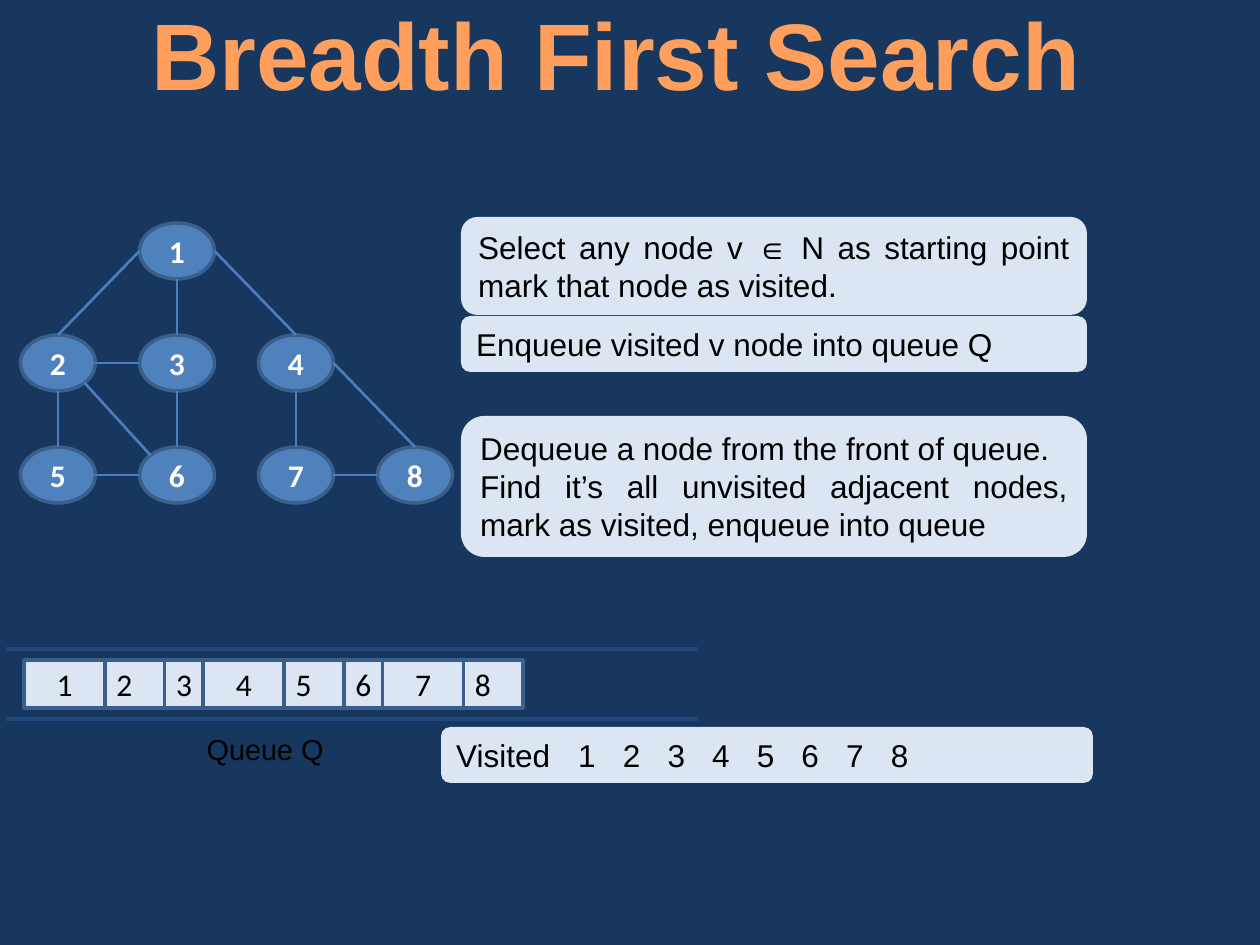
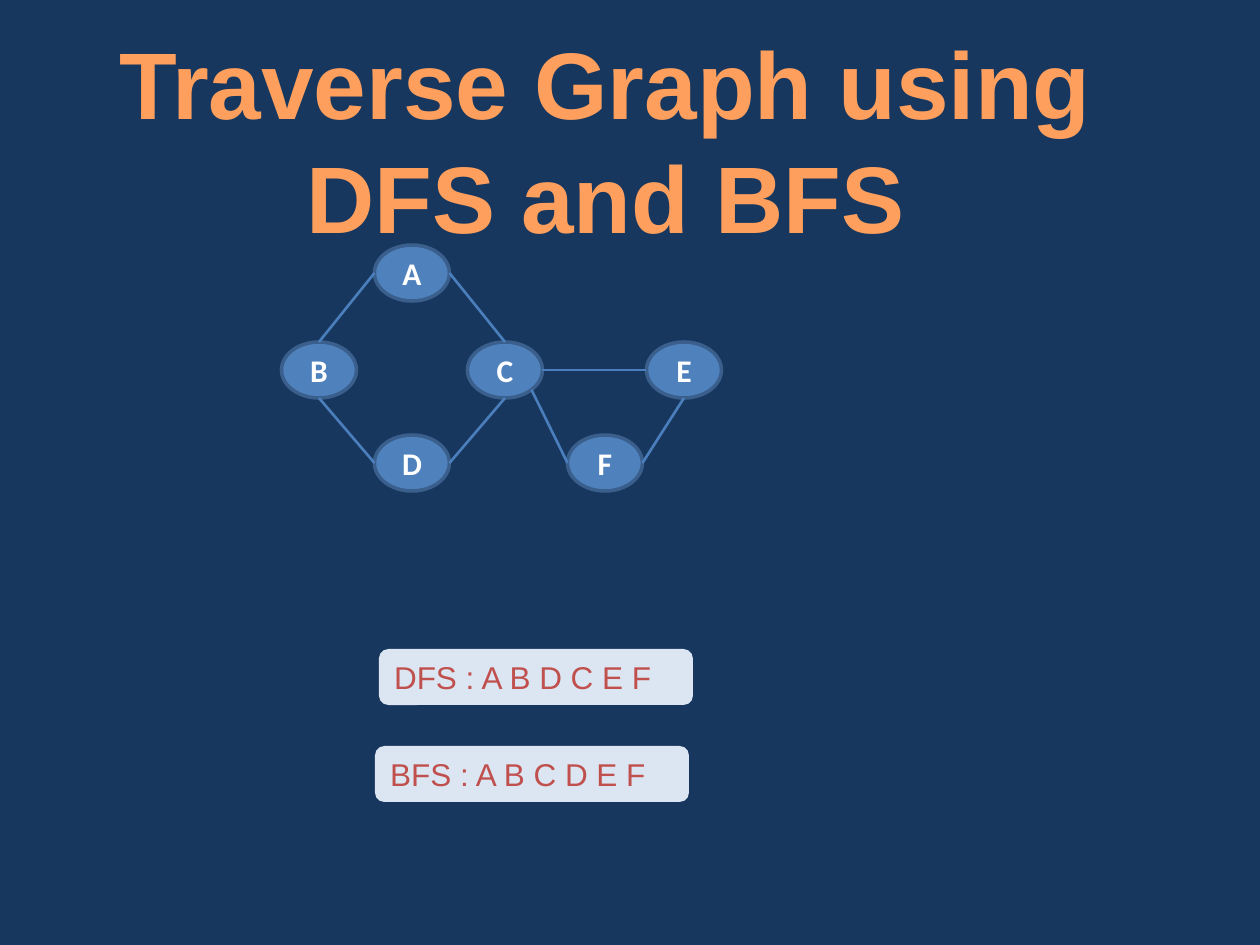
"""Build two slides on breadth first search and graph traversal."""
from dataclasses import dataclass
from math import sqrt

from lxml.etree import SubElement
from pptx import Presentation
from pptx.dml.color import RGBColor
from pptx.enum.shapes import MSO_CONNECTOR as Link, MSO_SHAPE as Kind
from pptx.enum.text import MSO_ANCHOR as Anchor, MSO_AUTO_SIZE as Auto, PP_ALIGN as Align
from pptx.oxml.ns import qn
from pptx.util import Pt

SCALE = 914400 / 126
DIAG = sqrt(0.5)
SIDES = {"n": (0, -1), "s": (0, 1), "w": (-1, 0), "e": (1, 0),
         "se": (DIAG, DIAG), "nw": (-DIAG, -DIAG)}


@dataclass(frozen=True)
class Theme:
    back: str = "17375E"
    title: str = "FF9F5D"
    node: str = "4F81BD"
    rim: str = "3A5F8C"
    edge: str = "4B7EBC"
    rail: str = "1F497D"
    panel: str = "DCE6F2"
    ink: str = "000000"
    light: str = "FFFFFF"
    accent: str = "C0504D"
    sans: str = "Arial"
    label: str = "Calibri"
    big: float = 54
    body: float = 18
    small: float = 16.5
    rim_pt: float = 2
    edge_pt: float = 1.5
    rail_pt: float = 2.25


LOOK = Theme()


def px(*sizes):
    return [round(size * SCALE) for size in sizes]


def rgb(code):
    return RGBColor.from_string(code)


def write(shape, text, color, size=LOOK.body, face=LOOK.sans,
          align=Align.CENTER, bold=False, anchor=Anchor.TOP):
    frame = shape.text_frame
    frame.word_wrap = True
    frame.vertical_anchor = anchor
    frame.text = text
    for para in frame.paragraphs:
        para.alignment = align
        font = para.font
        font.name, font.size, font.bold = face, Pt(size), bold
        font.color.rgb = rgb(color)


def label(slide, area, text, color, size, **style):
    shape = slide.shapes.add_textbox(*px(*area))
    write(shape, text, color, size, **style)
    shape.text_frame.auto_size = Auto.SHAPE_TO_FIT_TEXT


def block(slide, kind, area, fill, rim=None):
    shape = slide.shapes.add_shape(kind, *px(*area))
    shape.shadow.inherit = False
    shape.fill.solid()
    shape.fill.fore_color.rgb = rgb(fill)
    if rim:
        shape.line.color.rgb = rgb(rim)
        shape.line.width = Pt(LOOK.rim_pt)
    else:
        shape.line.fill.background()
    return shape


def panel(slide, area, text, color=LOOK.ink):
    shape = block(slide, Kind.ROUNDED_RECTANGLE, area, LOOK.panel)
    write(shape, text, color, align=Align.JUSTIFY)


def line(slide, start, end, color, width):
    link = slide.shapes.add_connector(Link.STRAIGHT, *px(*start, *end))
    link.line.color.rgb = rgb(color)
    link.line.width = Pt(width)
    SubElement(link._element.spPr, qn("a:effectLst"))


def graph(slide, nodes, edges, wide=75, high=56):
    """Draw nodes by centre, then edges such as 1s-3n between their sides."""
    def port(end):
        (x, y), (dx, dy) = nodes[end[0]], SIDES[end[1:]]
        return x + dx * wide / 2, y + dy * high / 2

    for name, (x, y) in nodes.items():
        area = (x - wide / 2, y - high / 2, wide, high)
        shape = block(slide, Kind.OVAL, area, LOOK.node, LOOK.rim)
        write(shape, name, LOOK.light, face=LOOK.label, bold=True, anchor=Anchor.MIDDLE)
    for edge in edges.split():
        start, end = edge.split("-")
        line(slide, port(start), port(end), LOOK.edge, LOOK.edge_pt)


def queue(slide):
    for name in "32165487":
        area = (24 + 59.75 * (int(name) - 1), 660, 81, 48)
        shape = block(slide, Kind.RECTANGLE, area, LOOK.panel, LOOK.rim)
        write(shape, name, LOOK.ink, face=LOOK.label, anchor=Anchor.MIDDLE)
    for y in (649, 719):
        line(slide, (6, y), (698, y), LOOK.rail, LOOK.rail_pt)
    label(slide, (180, 725, 170, 48), "Queue Q", LOOK.ink, LOOK.small)


def visited(slide):
    panel(slide, (441, 727, 652, 56), "Visited :")
    for spot, name in enumerate("12345678"):
        area = (557 + 44.65 * spot, 730, 60, 50)
        write(block(slide, Kind.RECTANGLE, area, LOOK.panel), name, LOOK.ink)


def page(deck, title, area):
    slide = deck.slides.add_slide(deck.slide_layouts[6])
    fill = slide.background.fill
    fill.solid()
    fill.fore_color.rgb = rgb(LOOK.back)
    label(slide, area, title, LOOK.title, LOOK.big, bold=True)
    return slide


def search(deck):
    slide = page(deck, "Breadth First Search", (5, -10, 1222, 127))
    grid = {"1": (1, 0), "2": (0, 1), "3": (1, 1), "4": (2, 1),
            "5": (0, 2), "6": (1, 2), "7": (2, 2), "8": (3, 2)}
    nodes = {name: (58 + 119 * col, 251 + 112 * row) for name, (col, row) in grid.items()}
    graph(slide, nodes, "1s-3n 2n-1w 1e-4n 3s-6n 2s-5n 2se-6nw 2e-3w 5e-6w 7e-8w 4s-7n 4e-8n")
    steps = [
        (217, 98, "Select any node v ∈ N as starting point mark that node as visited."),
        (316, 56, "Enqueue visited v node into queue Q"),
        (416, 141, "Dequeue a node from the front of queue.\n"
                   "Find it’s all unvisited adjacent nodes, mark as visited, enqueue into queue"),
    ]
    for top, high, text in steps:
        panel(slide, (461, top, 626, high), text)
    queue(slide)
    visited(slide)


def traverse(deck):
    slide = page(deck, "Traverse Graph using DFS and BFS", (0, 19, 1211, 242))
    nodes = {"A": (412, 273), "B": (319, 370), "D": (412, 463),
             "C": (505, 370), "F": (605, 463), "E": (684, 370)}
    graph(slide, nodes, "Aw-Bn Bs-Dw De-Cs Ae-Cn Cse-Fw Fe-Es Ce-Ew")
    panel(slide, (379, 649, 314, 56), "DFS : A B D C E F", LOOK.accent)
    panel(slide, (375, 746, 314, 56), "BFS : A B C D E F", LOOK.accent)


def main():
    deck = Presentation()
    deck.slide_width, deck.slide_height = px(1260, 945)
    search(deck)
    traverse(deck)
    deck.save("out.pptx")


main()
